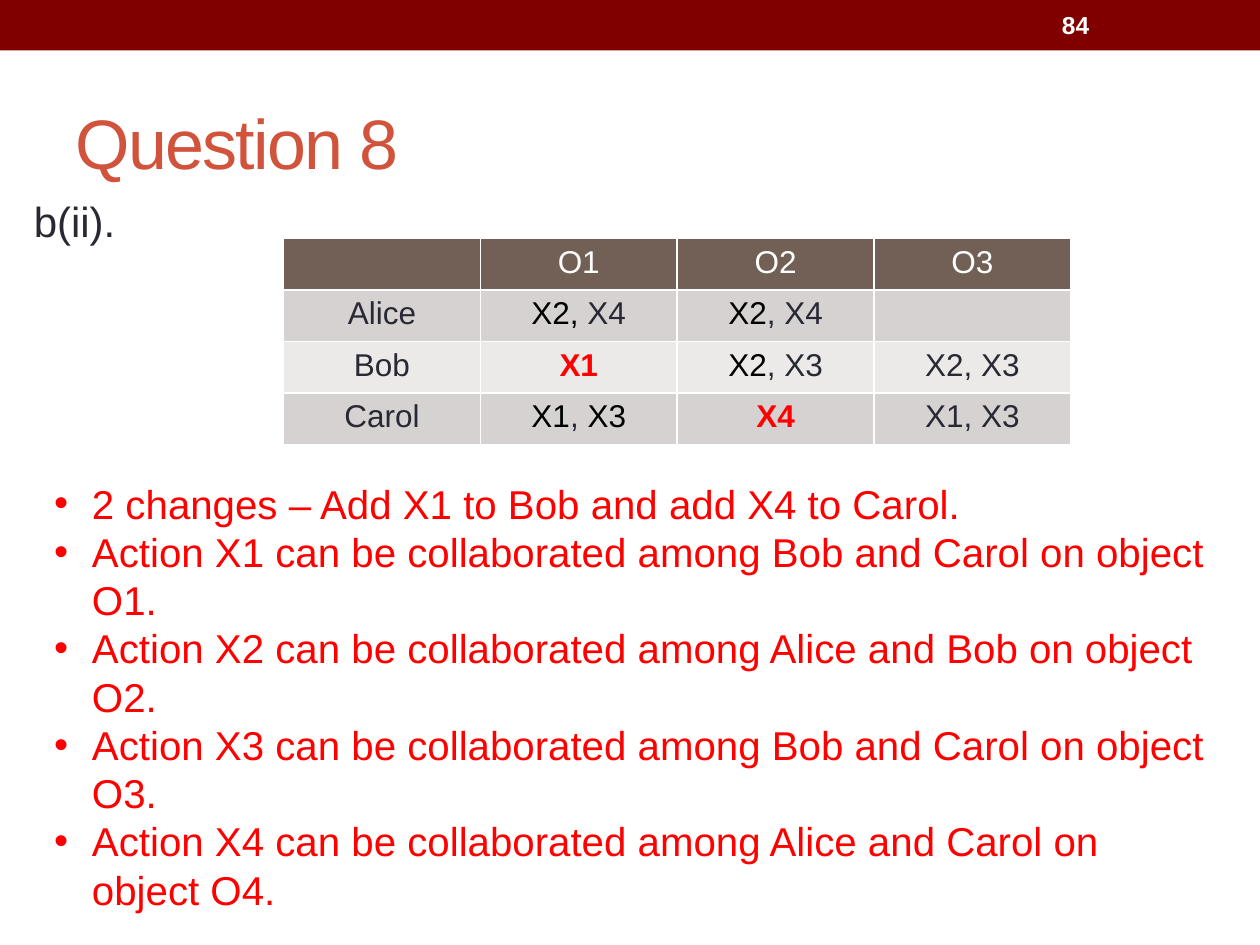
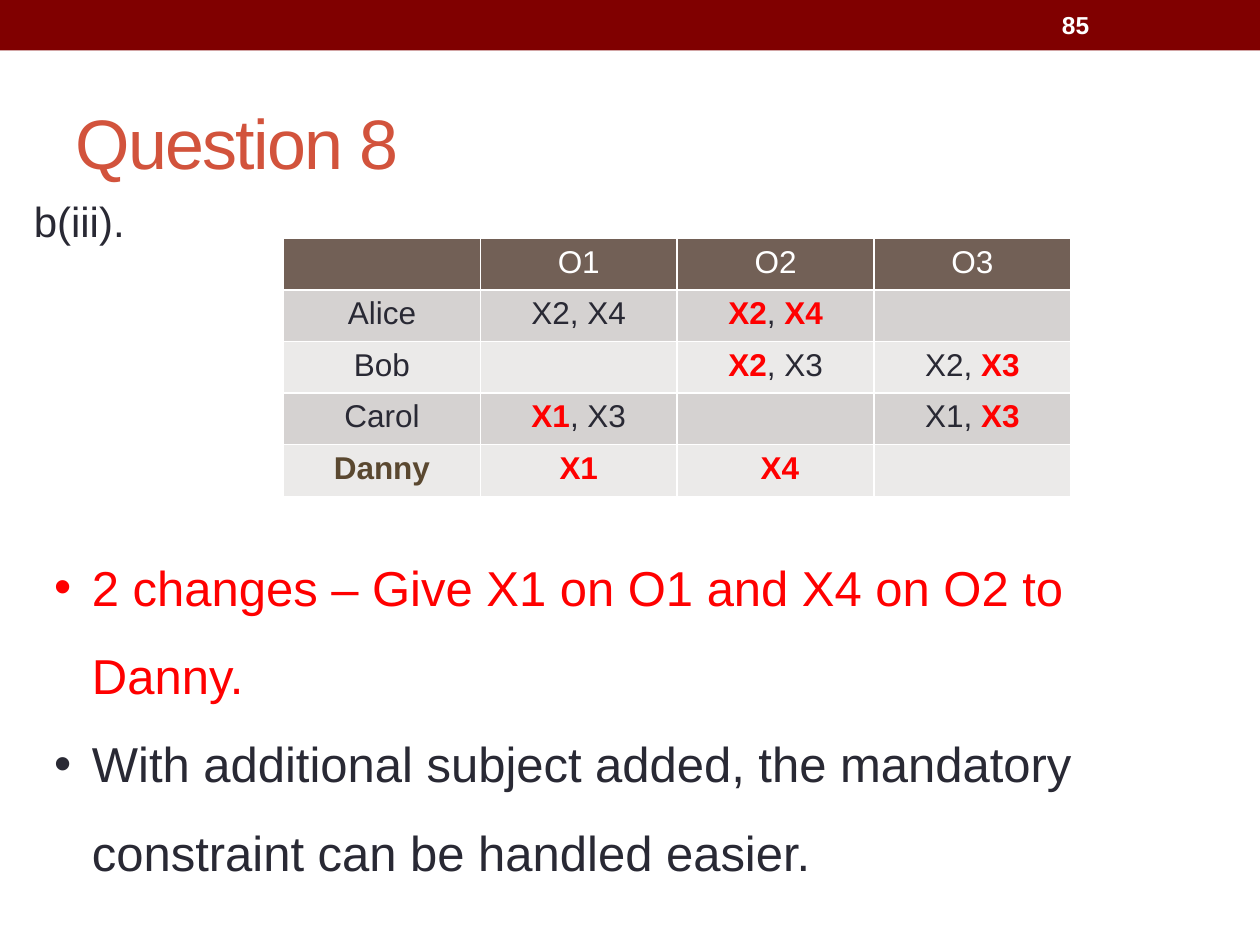
from dataclasses import dataclass

from lxml.etree import SubElement
from pptx import Presentation
from pptx.dml.color import RGBColor
from pptx.enum.shapes import MSO_SHAPE
from pptx.enum.text import MSO_ANCHOR, MSO_AUTO_SIZE, PP_ALIGN
from pptx.oxml.ns import qn
from pptx.util import Inches, Pt


@dataclass(frozen=True)
class Theme:
    font: str = "Arial"
    band: str = "800000"
    title: str = "D2533C"
    text: str = "292934"
    black: str = "000000"
    white: str = "FFFFFF"
    answer: str = "FF0000"
    new_subject: str = "5A4830"
    header_fill: str = "726056"
    row_fills: tuple = ("D5D2D1", "EBEAE9")
    title_size: int = 40
    label_size: int = 24
    table_size: int = 18
    number_size: int = 14


THEME = Theme()
SLIDE_BOX = (0, 0, 10, 7.5)
TABLE_BOX = (2.25, 1.89, 6.25, 0.41)  # the height is that of one row

# Formats of the runs in table cells
PLAIN = dict(color=THEME.text)
BLACK = dict(color=THEME.black)
HEADER = dict(color=THEME.white)
CHANGED = dict(color=THEME.answer, bold=True)
SUBJECT = dict(color=THEME.new_subject, bold=True)

HEADER_ROW = [[]] + [[(name, HEADER)] for name in ("O1", "O2", "O3")]

COLLABORATION_ROWS = [
    HEADER_ROW,
    [[("Alice", PLAIN)], [("X2,", BLACK), (" X4", PLAIN)],
     [("X2", BLACK), (", X4", PLAIN)], []],
    [[("Bob", PLAIN)], [("X1", CHANGED)],
     [("X2", BLACK), (", X3", PLAIN)], [("X2, X3", PLAIN)]],
    [[("Carol", PLAIN)], [("X1", BLACK), (", ", PLAIN), ("X3", BLACK)],
     [("X4", CHANGED)], [("X1, X3", PLAIN)]],
]

ADDED_SUBJECT_ROWS = [
    HEADER_ROW,
    [[("Alice", PLAIN)], [("X2, X4", PLAIN)],
     [("X2", CHANGED), (", ", PLAIN), ("X4", CHANGED)], []],
    [[("Bob", PLAIN)], [], [("X2", CHANGED), (", X3", PLAIN)],
     [("X2, ", PLAIN), ("X3", CHANGED)]],
    [[("Carol", PLAIN)], [("X1", CHANGED), (", X3", PLAIN)], [],
     [("X1, ", PLAIN), ("X3", CHANGED)]],
    [[("Danny", SUBJECT)], [("X1", CHANGED)], [(" X4", CHANGED)], []],
]

COLLABORATIONS = [
    ("X1", "Bob and Carol", "O1"),
    ("X2", "Alice and Bob", "O2"),
    ("X3", "Bob and Carol", "O3"),
    ("X4", "Alice and Carol", "O4"),
]


def add_text(paragraph, text, size, color, bold=False, spacing=None):
    run = paragraph.add_run()
    run.text = text
    run.font.name = THEME.font
    run.font.size = Pt(size)
    run.font.bold = bold
    run.font.color.rgb = RGBColor.from_string(color)
    if spacing is not None:
        run.font._element.set("spc", str(round(spacing * 100)))


def place(shape, box):
    shape.left, shape.top, shape.width, shape.height = map(Inches, box)


def add_master_band(presentation, slide):
    """Draw the top band on a slide, then move it behind everything on the master."""
    left, top, width, _ = SLIDE_BOX
    band = slide.shapes.add_shape(
        MSO_SHAPE.RECTANGLE, *map(Inches, (left, top, width, 0.4)))
    band.shadow.inherit = False
    band.fill.solid()
    band.fill.fore_color.rgb = RGBColor.from_string(THEME.band)
    band.line.fill.background()
    presentation.slide_master.shapes.element.insert(2, band.element)


def fill_title(slide, box, text):
    title = slide.shapes.title
    place(title, box)
    title.text_frame.vertical_anchor = MSO_ANCHOR.MIDDLE
    paragraph = title.text_frame.paragraphs[0]
    paragraph.alignment = PP_ALIGN.LEFT
    add_text(paragraph, text, THEME.title_size, THEME.title, spacing=-1)


def add_text_box(slide, box, text, wrap=True, anchor=MSO_ANCHOR.TOP, **text_format):
    frame = slide.shapes.add_textbox(*map(Inches, box)).text_frame
    frame.word_wrap = wrap
    frame.vertical_anchor = anchor
    add_text(frame.paragraphs[0], text, **text_format)


def add_cell_borders(cell):
    properties = cell._tc.get_or_add_tcPr()
    for side in ("lnL", "lnR", "lnT", "lnB"):
        line = SubElement(properties, qn(f"a:{side}"), w=str(Pt(1)))
        fill = SubElement(line, qn("a:solidFill"))
        SubElement(fill, qn("a:srgbClr"), val=THEME.white)


def add_access_table(slide, box, rows):
    left, top, width, row_height = box
    table = slide.shapes.add_table(
        len(rows), len(rows[0]),
        *map(Inches, (left, top, width, row_height * len(rows)))).table
    for row_index, row in enumerate(rows):
        fill = THEME.row_fills[(row_index - 1) % 2] if row_index else THEME.header_fill
        for column_index, runs in enumerate(row):
            cell = table.cell(row_index, column_index)
            add_cell_borders(cell)
            cell.fill.solid()
            cell.fill.fore_color.rgb = RGBColor.from_string(fill)
            paragraph = cell.text_frame.paragraphs[0]
            paragraph.alignment = PP_ALIGN.CENTER
            paragraph.font.size = Pt(THEME.table_size)
            for text, text_format in runs:
                add_text(paragraph, text, THEME.table_size, **text_format)


def fill_answers(slide, box, answers, size, line_spacing):
    body = slide.placeholders[1]
    place(body, box)
    frame = body.text_frame
    frame.auto_size = MSO_AUTO_SIZE.SHAPE_TO_FIT_TEXT
    frame.vertical_anchor = MSO_ANCHOR.TOP
    for index, (text, color) in enumerate(answers):
        paragraph = frame.add_paragraph() if index else frame.paragraphs[0]
        paragraph.space_before = Pt(0)
        paragraph.line_spacing = line_spacing
        properties = paragraph._p.get_or_add_pPr()
        properties.set("marL", str(Inches(0.3)))
        properties.set("indent", str(-Inches(0.3)))
        bullet_font = SubElement(properties, qn("a:buFont"))
        bullet_font.set("typeface", THEME.font)
        SubElement(properties, qn("a:buChar"), char="•")
        add_text(paragraph, text, size, color)


def add_question_slide(presentation, number, label, label_width, rows,
                       answers, answer_box, answer_size, line_spacing=1.0):
    slide = presentation.slides.add_slide(presentation.slide_layouts[1])
    fill_title(slide, (0.5, 0.58, 9, 1.08), "Question 8")
    add_text_box(slide, (8.33, 0.02, 1.17, 0.36), str(number),
                 anchor=MSO_ANCHOR.MIDDLE, size=THEME.number_size,
                 color=THEME.white, bold=True)
    add_access_table(slide, TABLE_BOX, rows)
    fill_answers(slide, answer_box, answers, answer_size, line_spacing)
    add_text_box(slide, (0.17, 1.5, label_width, 0.5), label, wrap=False,
                 size=THEME.label_size, color=THEME.text)
    return slide


def main():
    presentation = Presentation()
    presentation.slide_width, presentation.slide_height = map(Inches, SLIDE_BOX[2:])

    collaboration_texts = ["2 changes – Add X1 to Bob and add X4 to Carol."] + [
        f"Action {action} can be collaborated among {subjects} on object {target}."
        for action, subjects, target in COLLABORATIONS]
    first_slide = add_question_slide(
        presentation, 84, "b(ii).", 0.93, COLLABORATION_ROWS,
        [(text, THEME.answer) for text in collaboration_texts],
        answer_box=(0.33, 3.75, 9.42, 3.58), answer_size=23)
    add_master_band(presentation, first_slide)

    add_question_slide(
        presentation, 85, "b(iii).", 1.03, ADDED_SUBJECT_ROWS,
        [("2 changes – Give X1 on O1 and X4 on O2 to Danny.", THEME.answer),
         ("With additional subject added, the mandatory constraint can be "
          "handled easier.", THEME.text)],
        answer_box=(0.33, 4.14, 9.42, 2.18), answer_size=28, line_spacing=1.5)

    presentation.save("out.pptx")


if __name__ == "__main__":
    main()
